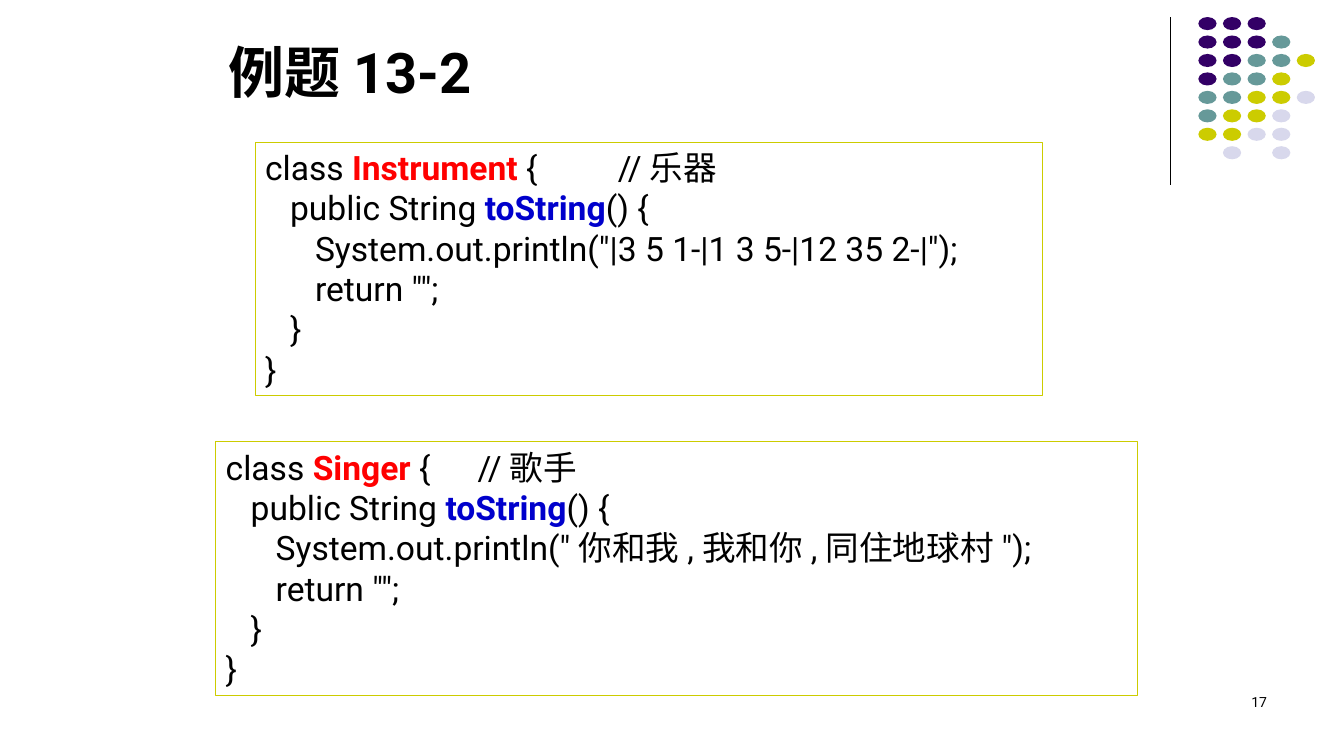
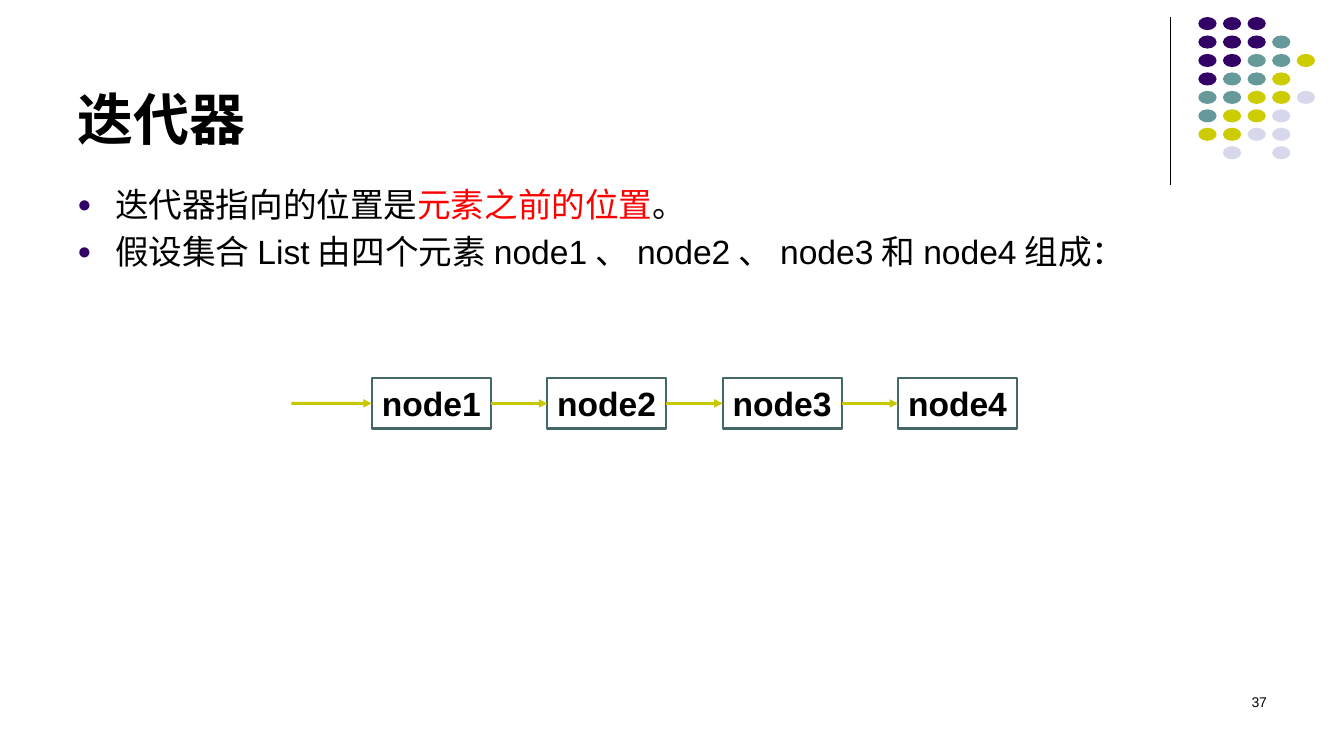
from lxml.etree import SubElement
from pptx import Presentation
from pptx.dml.color import RGBColor
from pptx.enum.shapes import MSO_CONNECTOR, MSO_SHAPE
from pptx.enum.text import MSO_ANCHOR, PP_ALIGN
from pptx.oxml.ns import qn
from pptx.util import Cm, Pt

# Shared colours
BLACK, RED, BLUE = "000000", "FF0000", "0000CC"
PLUM, TEAL, LIME, PALE = "330066", "669999", "CCCC00", "D8D8EC"
EDGE, ARROW = "456767", "C8C800"

# Corner dots: one letter per dot, row by row
DOTS = ("PPP", "PPPT", "PPTTL", "PTTL", "TTLLG", "TLLG", "LLGG", " G G")
HUES = {"P": PLUM, "T": TEAL, "L": LIME, "G": PALE}


def tint(code):
    return RGBColor.from_string(code)


def cms(box):
    return [Cm(n) for n in box]


def style(font, name, size, bold=False):
    font.name, font.size, font.bold = name, Pt(size), bold
    font.color.rgb = tint(BLACK)


def fill_runs(para, runs):
    """Each run is plain text or (text, colour, bold, font)."""
    for part in runs:
        run = para.add_run()
        if isinstance(part, str):
            run.text = part
            continue
        run.text, code, bold, name = part
        run.font.color.rgb = tint(code)
        if bold:
            run.font.bold = True
        if name:
            run.font.name = name


def paras(frame, rows):
    """Yield one filled paragraph for each row of runs."""
    for i, runs in enumerate(rows):
        para = frame.add_paragraph() if i else frame.paragraphs[0]
        fill_runs(para, runs)
        yield para


def label(slide, box, text, name, size, bold=False, align=PP_ALIGN.LEFT,
          anchor=MSO_ANCHOR.TOP):
    frame = slide.shapes.add_textbox(*cms(box)).text_frame
    frame.word_wrap, frame.vertical_anchor = True, anchor
    para = frame.paragraphs[0]
    para.text, para.alignment = text, align
    style(para.font, name, size, bold)


def block(slide, box, code, width):
    """Outlined, unfilled rectangle."""
    shape = slide.shapes.add_shape(MSO_SHAPE.RECTANGLE, *cms(box))
    shape.shadow.inherit = False
    shape.fill.background()
    shape.line.color.rgb, shape.line.width = tint(code), Pt(width)
    return shape


def link(slide, start, end, code, width, head=False):
    line = slide.shapes.add_connector(
        MSO_CONNECTOR.STRAIGHT, *cms(start + end))
    line.line.color.rgb, line.line.width = tint(code), Pt(width)
    if head:
        SubElement(line.line._get_or_add_ln(), qn("a:tailEnd"),
                   type="triangle")
    SubElement(line._element.spPr, qn("a:effectLst"))
    return line


def dots(slide, left, top):
    group = slide.shapes.add_group_shape()
    for r, row in enumerate(DOTS):
        for c, key in enumerate(row):
            if key == " ":
                continue
            dot = group.shapes.add_shape(MSO_SHAPE.OVAL, *cms(
                (left + 0.62 * c, top + 0.465 * r, 0.46, 0.33)))
            dot.shadow.inherit = False
            dot.fill.solid()
            dot.fill.fore_color.rgb = tint(HUES[key])
            dot.line.fill.background()


def base(deck, title, box, number, name):
    """Blank slide with rule, dots, title and page number."""
    slide = deck.slides.add_slide(deck.slide_layouts[6])
    link(slide, (29.49, 0.43), (29.49, 4.65), BLACK, 0.75)
    dots(slide, 30.2, 0.43)
    label(slide, box, title, name, 40, True, anchor=MSO_ANCHOR.BOTTOM)
    label(slide, (24.28, 17.35, 7.9, 1.27), number, name, 10,
          align=PP_ALIGN.RIGHT)
    return slide


def listing(slide, box, kind, note, out):
    """Framed class with one method; out is the printed text."""
    rows = (
        (0, ["class ", (kind + " ", RED, True, None), note]),
        (1, ["public String ", ("toString", BLUE, True, None), "() {"]),
        (2, [f'System.out.println("{out}");']),
        (2, ['return "";']),
        (1, ["}"]),
        (0, ["}"]),
    )
    frame = block(slide, box, LIME, 0.75).text_frame
    frame.word_wrap, frame.vertical_anchor = True, MSO_ANCHOR.TOP
    for para, (depth, _) in zip(paras(frame, [r[1] for r in rows]), rows):
        para.alignment = PP_ALIGN.LEFT
        if depth:
            para._p.get_or_add_pPr().set("marL", str(Cm(0.63 * depth)))
        style(para.font, "Roboto", 24)


def bullets(slide, box, rows):
    frame = slide.shapes.add_textbox(*cms(box)).text_frame
    frame.word_wrap = True
    for para in paras(frame, rows):
        props = para._p.get_or_add_pPr()
        props.set("marL", str(Cm(0.95)))
        props.set("indent", str(Cm(-0.95)))
        hue = SubElement(props, qn("a:buClr"))
        SubElement(hue, qn("a:srgbClr"), val=PLUM)
        SubElement(props, qn("a:buSzPct"), val="70000")
        SubElement(props, qn("a:buFont"), typeface="Arial")
        SubElement(props, qn("a:buChar"), char="●")
        para.space_before = Pt(4.8)
        style(para.font, "Arial", 24)


def chain(slide, box, names, lead=2.03, gap=1.42):
    """Row of equal nodes joined by arrows, after a lead-in arrow."""
    left, top, width, height = box
    size = (width - lead - gap * (len(names) - 1)) / len(names)
    mid = top + height / 2
    last = None
    for i, name in enumerate(names):
        x = left + lead + i * (size + gap)
        node = block(slide, (x, top, size, height), EDGE, 1.5)
        node.text_frame.word_wrap = False
        para = node.text_frame.paragraphs[0]
        para.text, para.alignment = name, PP_ALIGN.CENTER
        style(para.font, "Arial", 24, True)
        start = x - (gap if last else lead)
        arrow = link(slide, (start, mid), (x, mid), ARROW, 2, True)
        if last:
            arrow.begin_connect(last, 3)
        arrow.end_connect(node, 1)
        last = node


def main():
    deck = Presentation()
    deck.slide_width, deck.slide_height = Cm(33.87), Cm(19.05)

    # Two classes
    slide = base(deck, "例题13-2", (5.51, 0.33, 20.96, 2.44), "17", "Roboto")
    listing(slide, (6.43, 3.58, 19.84, 6.4), "Instrument", "{\t\t//乐器",
            "|3 5 1-|1 3 5-|12 35 2-|")
    listing(slide, (5.44, 11.13, 23.22, 6.4), "Singer", "{\t//歌手",
            "你和我,我和你,同住地球村")

    # Iterator
    slide = base(deck, "迭代器", (1.7, 0.33, 27.94, 3.61), "37", "Arial")
    bullets(slide, (1.7, 4.52, 30.48, 12.5), (
        ["迭代器指向的位置是",
         ("元素之前的位置", RED, False, "Noto Sans CJK SC"), "。"],
        ["假设集合List由四个元素node1、node2、node3和node4组成："],
    ))
    chain(slide, (7.34, 9.53, 18.29, 1.27),
          ("node1", "node2", "node3", "node4"))

    deck.save("out.pptx")


if __name__ == "__main__":
    main()
